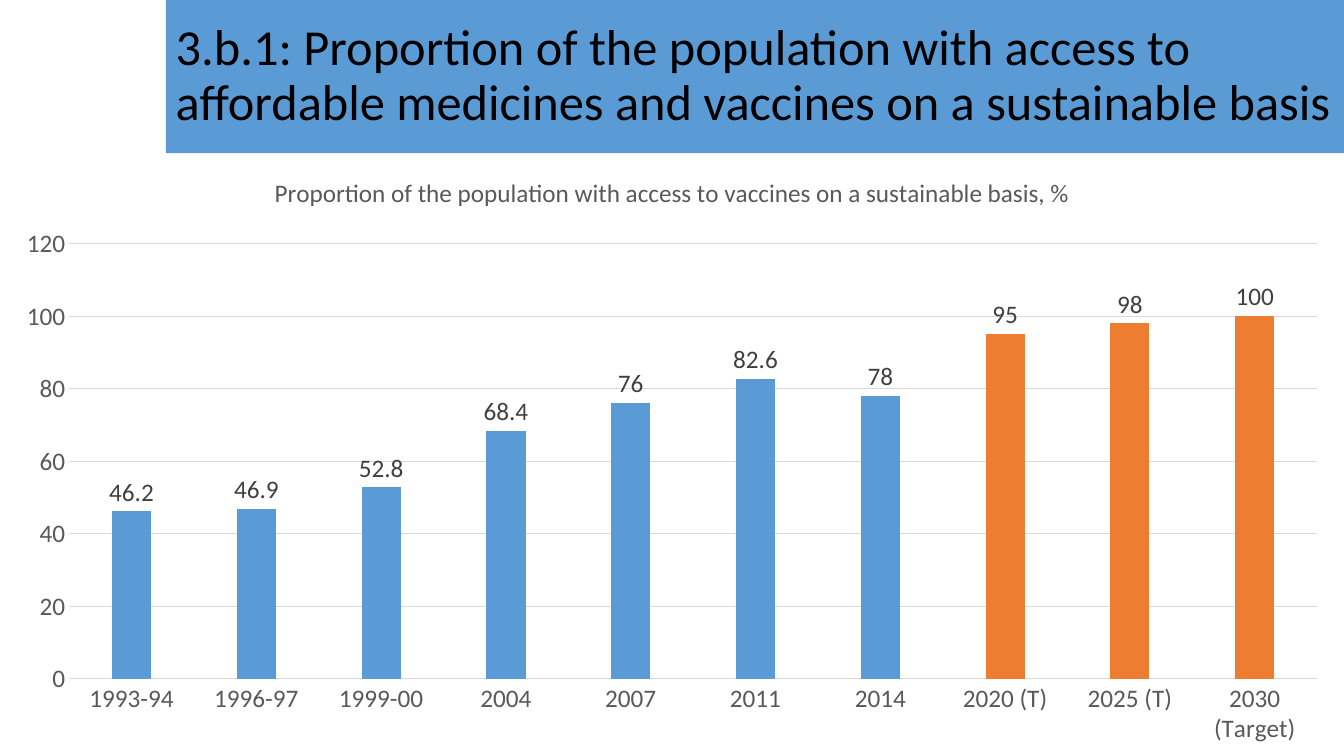
from dataclasses import dataclass

from pptx import Presentation
from pptx.chart.data import CategoryChartData
from pptx.dml.color import RGBColor
from pptx.enum.chart import XL_CHART_TYPE, XL_LABEL_POSITION, XL_TICK_MARK
from pptx.enum.shapes import MSO_SHAPE
from pptx.enum.text import MSO_ANCHOR, PP_ALIGN
from pptx.util import Cm, Pt


@dataclass(frozen=True)
class Theme:
    font: str = "Calibri"
    title_size: Pt = Pt(36)
    chart_size: Pt = Pt(18)
    black: RGBColor = RGBColor(0x00, 0x00, 0x00)
    actual: RGBColor = RGBColor(0x5B, 0x9B, 0xD5)
    target: RGBColor = RGBColor(0xED, 0x7D, 0x31)
    muted: RGBColor = RGBColor(0x59, 0x59, 0x59)
    label: RGBColor = RGBColor(0x40, 0x40, 0x40)
    grid: RGBColor = RGBColor(0xD9, 0xD9, 0xD9)


theme = Theme()


def style_font(font, size, color):
    font.name = theme.font
    font.size = size
    font.bold = False
    font.color.rgb = color


def style_line(line):
    line.color.rgb = theme.grid
    line.width = Pt(0.75)


deck = Presentation()
deck.slide_width = Cm(33.87)
deck.slide_height = Cm(19.05)
page = deck.slides.add_slide(deck.slide_layouts[6])

banner = page.shapes.add_shape(MSO_SHAPE.RECTANGLE, Cm(4.18), Cm(0), Cm(29.69), Cm(3.86))
banner.shadow.inherit = False
banner.fill.solid()
banner.fill.fore_color.rgb = theme.actual
banner.line.fill.background()
frame = banner.text_frame
frame.word_wrap = True
frame.vertical_anchor = MSO_ANCHOR.MIDDLE
frame.text = (
    "3.b.1: Proportion of the population with access to "
    "affordable medicines and vaccines on a sustainable basis"
)
para = frame.paragraphs[0]
para.alignment = PP_ALIGN.LEFT
para.line_spacing = 0.9
style_font(para.runs[0].font, theme.title_size, theme.black)

coverage = {
    "1993-94": 46.2,
    "1996-97": 46.9,
    "1999-00": 52.8,
    "2004": 68.4,
    "2007": 76,
    "2011": 82.6,
    "2014": 78,
    "2020 (T)": 95,
    "2025 (T)": 98,
    "2030 (Target)": 100,
}
chart_data = CategoryChartData()
chart_data.categories = list(coverage)
chart_data.add_series("Series 1", list(coverage.values()))
chart = page.shapes.add_chart(
    XL_CHART_TYPE.COLUMN_CLUSTERED, Cm(0), Cm(3.86), Cm(33.87), Cm(15.19), chart_data
).chart
chart.has_legend = False
style_font(chart.font, theme.chart_size, theme.muted)

chart.has_title = True
chart_title = chart.chart_title
chart_title.include_in_layout = False
chart_title.text_frame.text = "Proportion of the population with access to vaccines on a sustainable basis, %"
style_font(chart_title.text_frame.paragraphs[0].runs[0].font, theme.chart_size, theme.muted)

for axis in (chart.category_axis, chart.value_axis):
    axis.major_tick_mark = XL_TICK_MARK.NONE
    axis.minor_tick_mark = XL_TICK_MARK.NONE
    style_font(axis.tick_labels.font, theme.chart_size, theme.muted)
style_line(chart.category_axis.format.line)
chart.value_axis.format.line.fill.background()
chart.value_axis.minimum_scale = 0
chart.value_axis.maximum_scale = 120
chart.value_axis.major_unit = 20
style_line(chart.value_axis.major_gridlines.format.line)

plot = chart.plots[0]
plot.gap_width = 219
plot.overlap = -27
plot.vary_by_categories = False
bars = plot.series[0]
bars.invert_if_negative = False
bars.format.fill.solid()
bars.format.fill.fore_color.rgb = theme.actual
for index, period in enumerate(coverage):
    if "(T" in period:
        fill = bars.points[index].format.fill
        fill.solid()
        fill.fore_color.rgb = theme.target

labels = bars.data_labels
labels.show_value = True
labels.position = XL_LABEL_POSITION.OUTSIDE_END
style_font(labels.font, theme.chart_size, theme.label)

deck.save("out.pptx")
